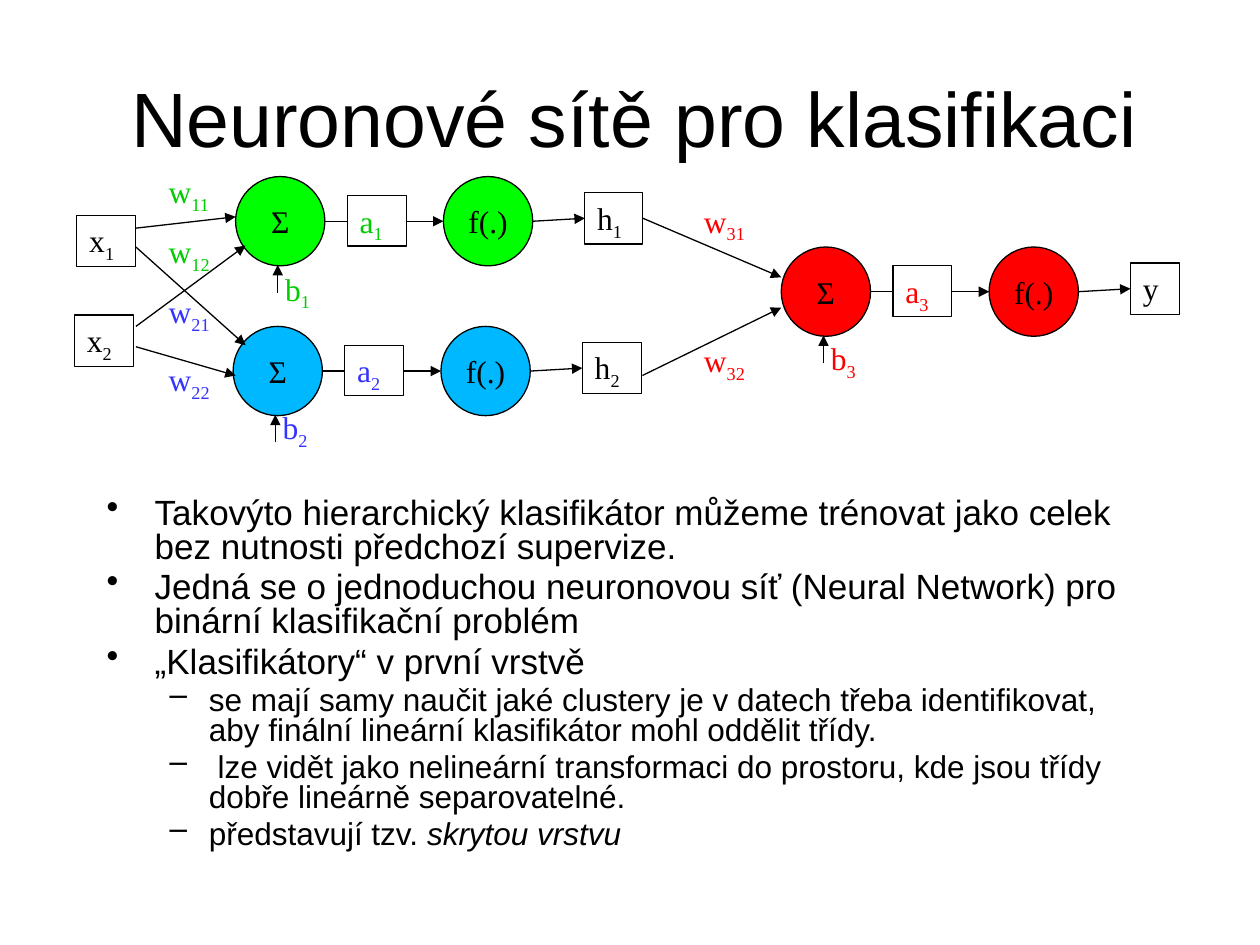
"""Build a slide about neural networks for classification."""
from lxml import etree
from pptx import Presentation
from pptx.dml.color import RGBColor
from pptx.enum import shapes, text
from pptx.oxml import ns
from pptx.util import Cm, Pt

TITLE = "Neuronové sítě pro klasifikaci"
BULLETS = [
    (0, "Takovýto hierarchický klasifikátor můžeme trénovat jako celek bez nutnosti předchozí supervize."),
    (0, "Jedná se o jednoduchou neuronovou síť (Neural Network) pro binární klasifikační problém"),
    (0, "„Klasifikátory“ v první vrstvě"),
    (1, "se mají samy naučit jaké clustery je v datech třeba identifikovat, "
        "aby finální lineární klasifikátor mohl oddělit třídy."),
    (1, " lze vidět jako nelineární transformaci do prostoru, kde jsou třídy dobře lineárně separovatelné."),
    (1, "představují tzv. ", "skrytou vrstvu"),
]
LEVELS = [("•", 0.97, -0.97, 20), ("–", 2.06, -0.79, 18)]
BLACK, WHITE, GREEN, BLUE, RED = "000000", "FFFFFF", "00CC00", "3333FF", "FF0000"
NEURONS = [
    ("1", 4.75, 3.56, "00FF00", GREEN, ("h", "1"), 1.17, 1.75),
    ("2", 4.70, 6.58, "00B8FF", BLUE, ("h", "2"), 1.19, 1.52),
    ("3", 15.75, 4.98, RED, RED, ("y", ""), 0.99, 1.73),
]
INPUTS = [("1", 1.55, 4.34), ("2", 1.5, 6.35)]
WEIGHTS = [
    ("11", 3.15, 3.35, GREEN), ("12", 3.15, 4.55, GREEN),
    ("21", 3.15, 5.77, BLUE), ("22", 3.15, 7.14, BLUE),
    ("31", 13.94, 3.94, RED), ("32", 13.94, 6.76, RED),
]
LINKS = [
    (2.74, 4.6, 4.75, 4.37), (2.74, 6.58, 4.95, 4.95),
    (2.74, 4.98, 4.95, 6.96), (2.74, 6.99, 4.75, 7.57),
    (12.95, 7.57, 15.75, 6.2),
]
D, STEP = 1.8, 4.19

prs = Presentation()
prs.slide_width, prs.slide_height = Cm(25.4), Cm(19.05)
s = prs.slides.add_slide(prs.slide_layouts[6])


def rgb(code):
    """Return the colour for a hex string."""
    return RGBColor.from_string(code)


def style(r, size, face, color=BLACK):
    """Set the font of a run."""
    r.font.size, r.font.name = Pt(size), face
    r.font.color.rgb = rgb(color)


def textbox(x, y, w, h):
    """Add a wrapping text box and return its text frame."""
    tf = s.shapes.add_textbox(Cm(x), Cm(y), Cm(w), Cm(h)).text_frame
    tf.word_wrap = True
    return tf


def symbol(tf, name, index="", color=BLACK):
    """Write a symbol with an optional subscript."""
    p = tf.paragraphs[0]
    for part in filter(None, (name, index)):
        r = p.add_run()
        r.text = part
        style(r, 18, "Times New Roman", color)
    if index:
        r.font._element.set("baseline", "-25000")
    return p


def node(kind, x, y, w, h, fill=None):
    """Add an outlined shape, filled when a colour is given."""
    sp = s.shapes.add_shape(kind, Cm(x), Cm(y), Cm(w), Cm(h))
    sp.shadow.inherit = False
    if fill:
        sp.fill.solid()
        sp.fill.fore_color.rgb = rgb(fill)
    else:
        sp.fill.background()
    sp.line.color.rgb, sp.line.width = rgb(BLACK), Pt(0.75)
    return sp


def box(x, y, w, h, name, index="", color=BLACK, fill=None):
    """Add a rectangle holding a symbol."""
    sp = node(shapes.MSO_SHAPE.RECTANGLE, x, y, w, h, fill)
    sp.text_frame.vertical_anchor = text.MSO_ANCHOR.TOP
    symbol(sp.text_frame, name, index, color).alignment = text.PP_ALIGN.LEFT
    return sp


def circle(x, y, fill, name):
    """Add a circle holding a centred symbol."""
    tf = node(shapes.MSO_SHAPE.OVAL, x, y, D, D, fill).text_frame
    tf.word_wrap = False
    tf.vertical_anchor = text.MSO_ANCHOR.MIDDLE
    symbol(tf, name).alignment = text.PP_ALIGN.CENTER


def arrow(x1, y1, x2, y2):
    """Add a straight arrow."""
    c = s.shapes.add_connector(shapes.MSO_CONNECTOR.STRAIGHT, Cm(x1), Cm(y1), Cm(x2), Cm(y2))
    c.line.color.rgb, c.line.width = rgb(BLACK), Pt(0.75)
    etree.SubElement(c.line._get_or_add_ln(), ns.qn("a:tailEnd"), type="triangle")
    etree.SubElement(c._element.spPr, ns.qn("a:effectLst"))
    return c


tf = textbox(0.69, 0.36, 24.2, 3.99)
tf.vertical_anchor = text.MSO_ANCHOR.MIDDLE
tf.text = TITLE
tf.paragraphs[0].alignment = text.PP_ALIGN.CENTER
style(tf.paragraphs[0].runs[0], 44, "Arial")

tf = textbox(1.9, 9.93, 21.21, 7.8)
for i, (level, *parts) in enumerate(BULLETS):
    mark, margin, indent, size = LEVELS[level]
    p = tf.add_paragraph() if i else tf.paragraphs[0]
    p.level, p.line_spacing = level, 0.8
    if i:
        p.space_before = Pt(size * 0.2)
    pPr = p._p.get_or_add_pPr()
    pPr.set("marL", str(Cm(margin)))
    pPr.set("indent", str(Cm(indent)))
    etree.SubElement(pPr, ns.qn("a:buChar"), char=mark)
    for j, part in enumerate(parts):
        r = p.add_run()
        r.text = part
        style(r, size, "Arial")
        if j:
            r.font.italic = True

outputs = []
for index, x, y, fill, color, out, out_w, bias_dy in NEURONS:
    mid = y + D / 2
    circle(x, y, fill, "Σ")
    arrow(x + D, mid, x + STEP, mid)
    circle(x + STEP, y, fill, "f(.)")
    box(x + 2.25, y + 0.38, 1.19, 1.02, "a", index, color, WHITE)
    outputs.append(box(x + 7.04, y + 0.32, out_w, 1.04, *out))
    arrow(x + STEP + D, mid, x + 7.04, mid).end_connect(outputs[-1], 1)
    arrow(x + 0.85, y + 2.34, x + 0.85, y + 1.78)
    symbol(textbox(x + 0.75, y + bias_dy, 1.19, 1.02), "b", index, color)

for index, x, y in INPUTS:
    box(x, y, 1.19, 1.04, "x", index)
for index, x, y, color in WEIGHTS:
    symbol(textbox(x, y, 1.6, 1.02), "w", index, color)
for link in LINKS:
    arrow(*link)
arrow(12.95, 4.37, 15.75, 5.59).begin_connect(outputs[0], 3)

prs.save("out.pptx")
